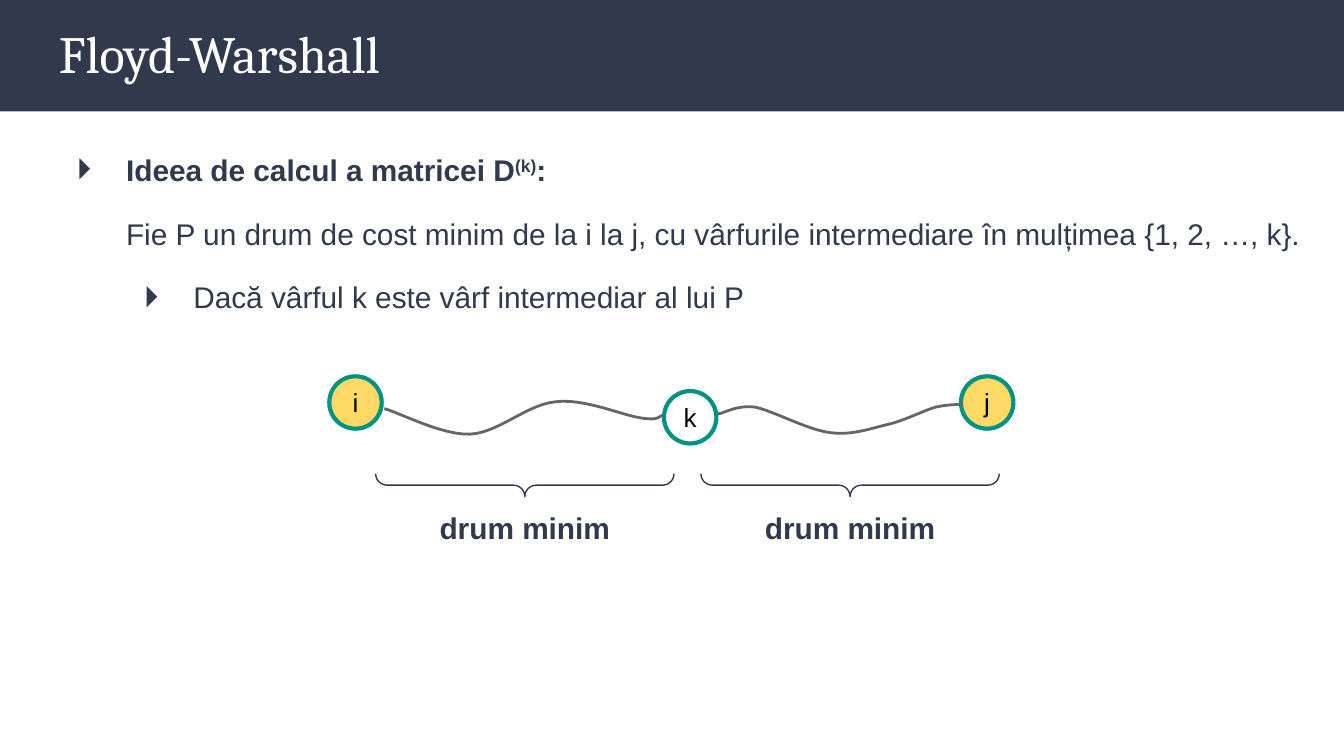
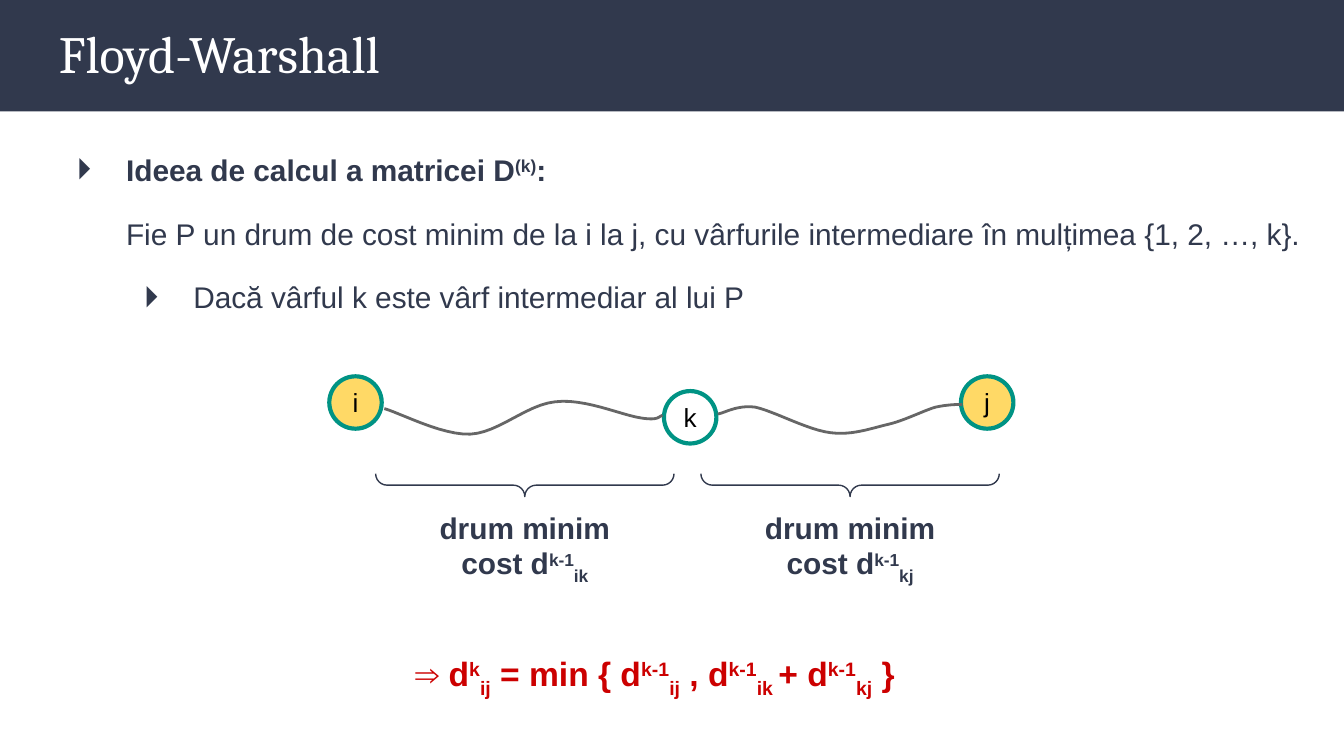
import pptx
import pptx.dml.color
import pptx.enum.shapes
import pptx.enum.text
import pptx.oxml
import pptx.oxml.ns
import pptx.util

Inches = pptx.util.Inches
Pt = pptx.util.Pt
SHAPE = pptx.enum.shapes.MSO_SHAPE
CENTER = pptx.enum.text.PP_ALIGN.CENTER

COLORS = {
    name: pptx.dml.color.RGBColor.from_string(value)
    for name, value in {
        "navy": "31394D", "white": "FFFFFF", "black": "000000", "yellow": "FFD966",
        "teal": "009384", "gray": "666666", "red": "CC0000",
    }.items()
}
TITLE = {"size": Pt(28), "name": "Cambria"}
BODY = {"size": Pt(16), "name": "Arial", "bold": False}
STRONG = {**BODY, "bold": True}
NODE = {"size": Pt(14), "name": "Arial"}
FORMULA = {**STRONG, "size": Pt(18)}
SUP, SUB = 30000, -25000


def add_text_frame(slide, left, top, width, height):
    box = slide.shapes.add_textbox(*map(Inches, (left, top, width, height)))
    frame = box.text_frame
    frame.word_wrap = True
    for side in ("left", "top", "right", "bottom"):
        setattr(frame, f"margin_{side}", Inches(0.1))
    return frame


def write(paragraph, runs, color, style):
    """Add runs given as strings or as (string, baseline shift) pairs."""
    for item in runs:
        text, shift = (item, 0) if isinstance(item, str) else item
        run = paragraph.add_run()
        run.text = text
        for attribute, value in style.items():
            setattr(run.font, attribute, value)
        run.font.color.rgb = COLORS[color]
        if shift:
            run._r.get_or_add_rPr().set("baseline", str(shift))


# Runs, style, left margin, indent, bullet
IDEA = [
    (["Ideea de calcul a matricei D", ("(k)", SUP), ":"], STRONG, 0.5, -0.37, True),
    (["Fie P un drum de cost minim de la i la j, cu vârfurile intermediare "
      "în mulțimea {1, 2, …, k}."], BODY, 0, 0.5, False),
    (["Dacă vârful k este vârf intermediar al lui P"], BODY, 1, -0.37, True),
]
NODES = [("i", 2.45, 2.8, "yellow"), ("k", 4.94, 2.91, None), ("j", 7.15, 2.8, "yellow")]
# Each path: its start, then cubic segments of two control points and an end
PATHS = [
    ((2.86, 3.04), [
        ((2.97, 3.07), (3.29, 3.24), (3.5, 3.23)),
        ((3.71, 3.22), (3.92, 3.01), (4.13, 2.99)),
        ((4.34, 2.96), (4.63, 3.09), (4.77, 3.11)),
        ((4.9, 3.13), (4.9, 3.1), (4.93, 3.09)),
    ]),
    ((5.34, 3.08), [
        ((5.38, 3.08), (5.48, 3.01), (5.62, 3.03)),
        ((5.76, 3.06), (6.01, 3.2), (6.18, 3.22)),
        ((6.34, 3.24), (6.47, 3.19), (6.6, 3.16)),
        ((6.73, 3.13), (6.86, 3.06), (6.96, 3.03)),
        ((7.05, 3.01), (7.12, 3.01), (7.16, 3.01)),
    ]),
]
CURVE_STEPS = 12
HALVES = [("ik", 3.03), ("kj", 5.45)]
RECURRENCE = [
    "⇒ d", ("k", SUP), ("ij", SUB), " = min { d", ("k-1", SUP), ("ij", SUB),
    " , d", ("k-1", SUP), ("ik ", SUB), "+ d", ("k-1", SUP), ("kj", SUB), " }",
]

deck = pptx.Presentation()
deck.slide_width = Inches(10)
deck.slide_height = deck.slide_width * 9 // 16

for shows_costs in (False, True):
    slide = deck.slides.add_slide(deck.slide_layouts[6])

    band = slide.shapes.add_shape(SHAPE.RECTANGLE, 0, 0, deck.slide_width, Inches(0.83))
    band.shadow.inherit = False
    band.fill.solid()
    band.fill.fore_color.rgb = COLORS["navy"]
    band.line.fill.background()
    title = add_text_frame(slide, 0.34, 0.06, 9.32, 0.68)
    write(title.paragraphs[0], ["Floyd-Warshall"], "white", TITLE)

    idea = add_text_frame(slide, 0.34, 0.99, 9.5, 4.11)
    for index, (runs, style, margin, indent, bulleted) in enumerate(IDEA):
        paragraph = idea.add_paragraph() if index else idea.paragraphs[0]
        paragraph.line_spacing = 1.15
        if index:
            paragraph.space_before = Pt(12)
        properties = paragraph._p.get_or_add_pPr()
        properties.set("marL", str(Inches(margin)))
        properties.set("indent", str(Inches(indent)))
        if bulleted:
            namespace = pptx.oxml.ns.nsdecls("a")
            for bullet in (
                f'<a:buClr {namespace}><a:srgbClr val="{COLORS["navy"]}"/></a:buClr>',
                f'<a:buFont {namespace} typeface="Arial"/>',
                f'<a:buChar {namespace} char="⏵"/>',
            ):
                properties.append(pptx.oxml.parse_xml(bullet))
        write(paragraph, runs, "navy", style)

    for label, left, top, color in NODES:
        node = slide.shapes.add_shape(
            SHAPE.OVAL, *map(Inches, (left, top, 0.39, 0.39)))
        node.shadow.inherit = False
        if color:
            node.fill.solid()
            node.fill.fore_color.rgb = COLORS[color]
        else:
            node.fill.background()
        node.line.color.rgb = COLORS["teal"]
        node.line.width = Pt(2.25)
        frame = node.text_frame
        frame.vertical_anchor = pptx.enum.text.MSO_ANCHOR.MIDDLE
        for side in ("left", "top", "right", "bottom"):
            setattr(frame, f"margin_{side}", Inches(0.02))
        frame.paragraphs[0].alignment = CENTER
        write(frame.paragraphs[0], [label], "black", NODE)

    for start, segments in PATHS:
        points, origin = [], start
        for first, second, end in segments:
            for step in range(1, CURVE_STEPS + 1):
                t = step / CURVE_STEPS
                points.append(tuple(
                    Inches((1 - t) ** 3 * a + 3 * (1 - t) ** 2 * t * b
                           + 3 * (1 - t) * t ** 2 * c + t ** 3 * d)
                    for a, b, c, d in zip(origin, first, second, end)))
            origin = end
        outline = slide.shapes.build_freeform(*map(Inches, start))
        outline.add_line_segments(points, close=False)
        road = outline.convert_to_shape()
        road.shadow.inherit = False
        road.fill.background()
        road.line.color.rgb = COLORS["gray"]
        road.line.width = Pt(1.5)

    for ends, left in HALVES:
        brace = slide.shapes.add_shape(
            SHAPE.LEFT_BRACE, *map(Inches, (left + 0.79, 2.5, 0.17, 2.22)))
        brace.shadow.inherit = False
        brace.rotation = 270
        brace.adjustments[0] = 0.5
        brace.fill.background()
        brace.line.color.rgb = COLORS["navy"]
        brace.line.width = Pt(0.75)

        lines = [["drum minim"]]
        if shows_costs:
            lines.append(["cost d", ("k-1", SUP), (ends, SUB)])
        caption = add_text_frame(slide, left, 3.69, 1.75, 0.2 + 0.27 * len(lines))
        for index, runs in enumerate(lines):
            paragraph = caption.add_paragraph() if index else caption.paragraphs[0]
            paragraph.alignment = CENTER
            write(paragraph, runs, "navy", STRONG)

    if shows_costs:
        result = add_text_frame(slide, 2.99, 4.76, 4.01, 0.5)
        write(result.paragraphs[0], RECURRENCE, "red", FORMULA)

deck.save("out.pptx")
